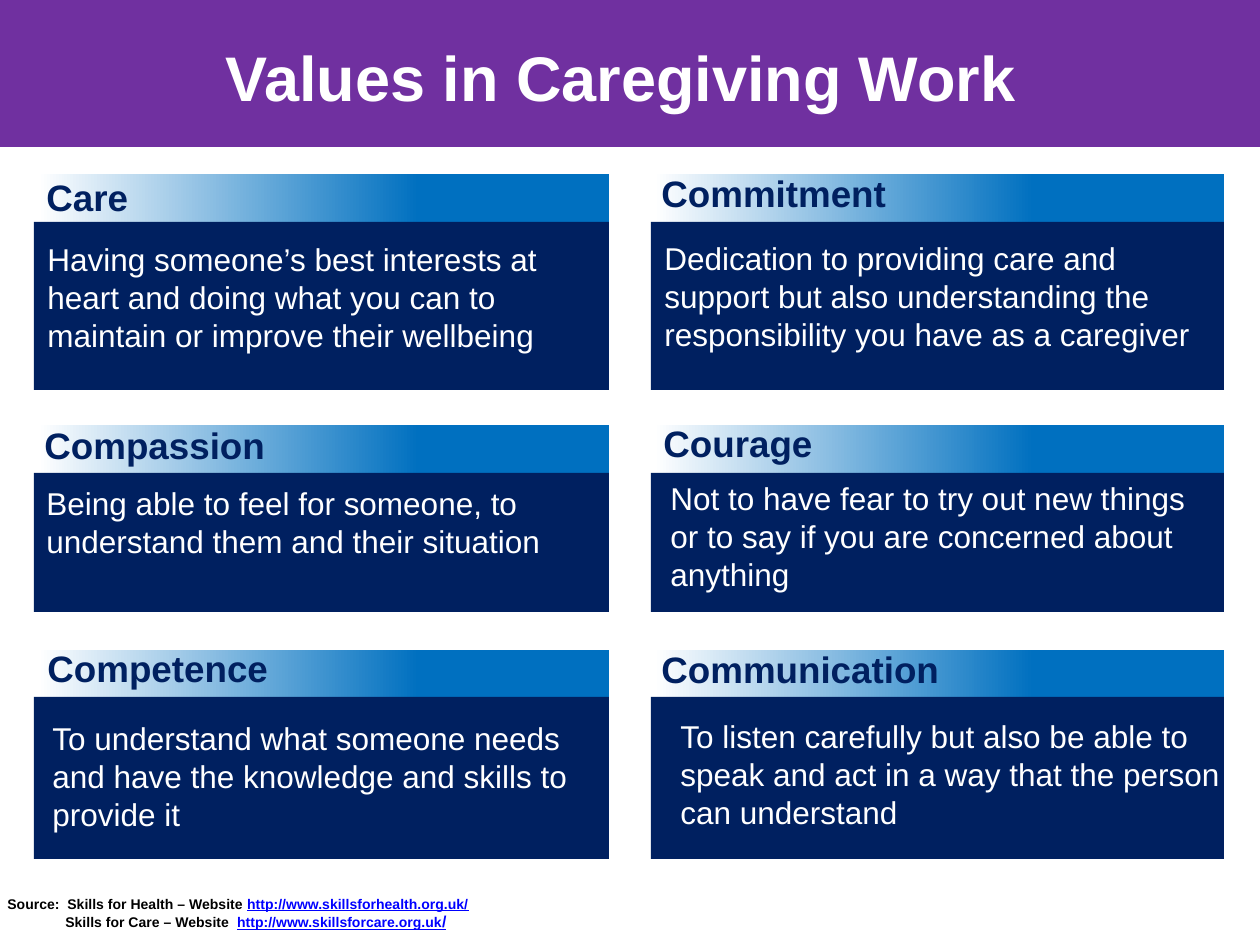
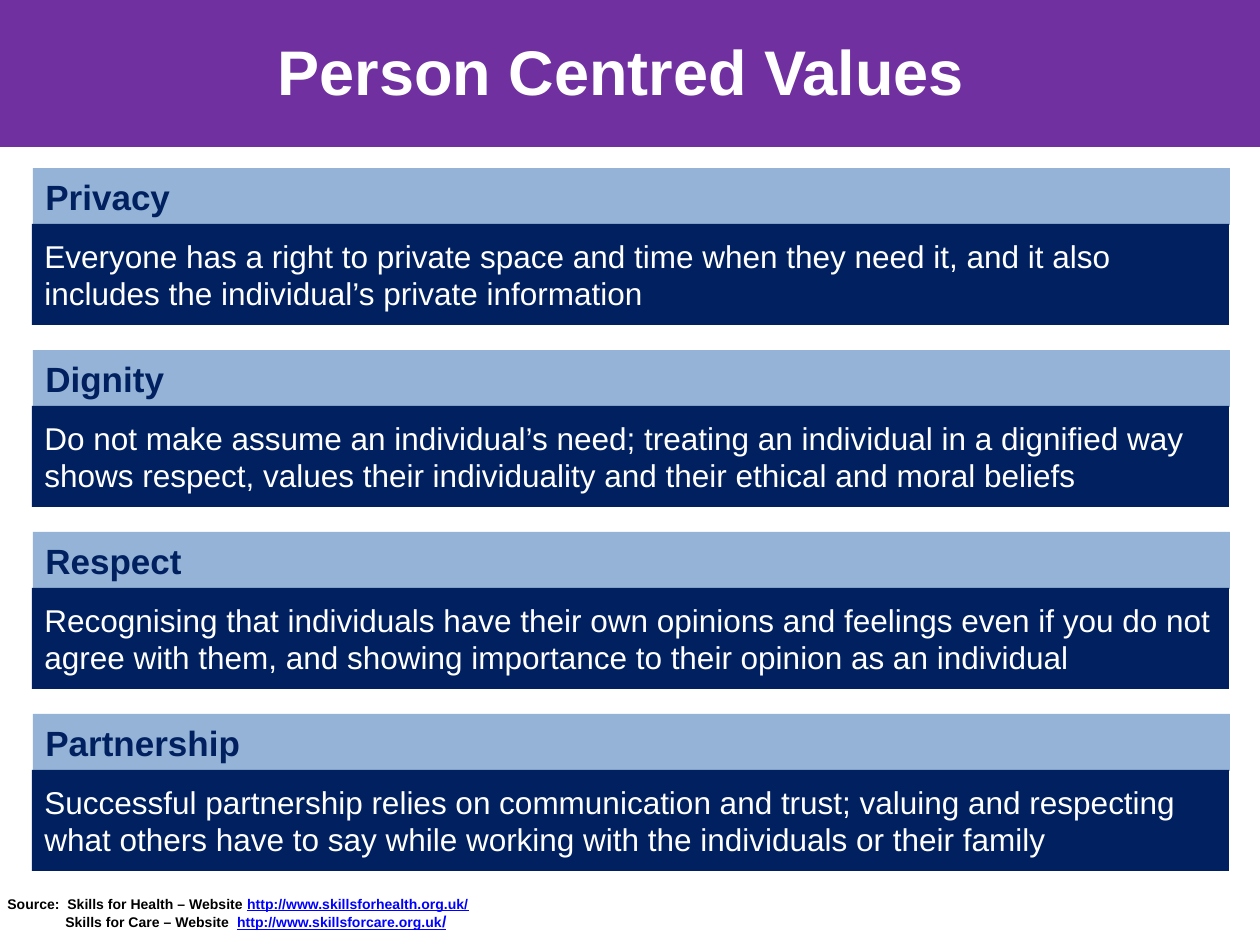
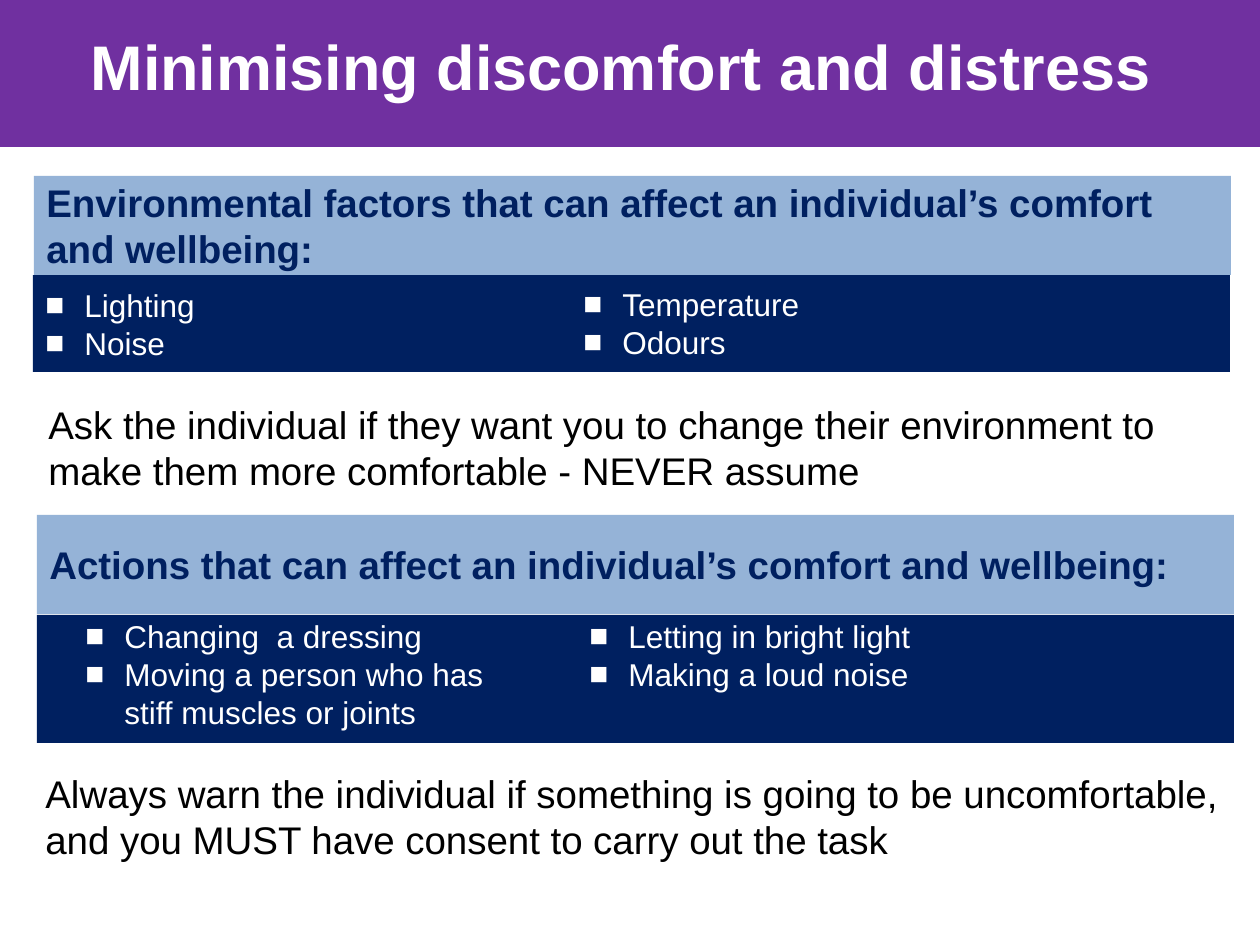
from lxml.etree import SubElement
from pptx import Presentation
from pptx.dml.color import RGBColor
from pptx.enum.shapes import MSO_SHAPE as SHAPE
from pptx.enum.text import MSO_ANCHOR as ANCHOR, PP_ALIGN as ALIGN
from pptx.oxml.ns import qn
from pptx.util import Pt

PX = 914400 / 126
PAGE_W, PAGE_H = 1260, 945
FONT = "Arial"
PURPLE, NAVY, BLUE, PALE = "7030A0", "002060", "0070C0", "95B3D7"
WHITE, BLACK, LINK = "FFFFFF", "000000", "0000FF"
BULLET_INDENT = 39

# label, label position, description, description position
VALUE_CARDS = [
    [("Care", (34, 169),
      "Having someone’s best interests at heart and doing what you can to "
      "maintain or improve their wellbeing", (35, 234)),
     ("Commitment", (649, 165),
      "Dedication to providing care and support but also understanding the "
      "responsibility you have as a caregiver", (652, 233))],
    [("Compassion", (32, 417),
      "Being able to feel for someone, to understand them and their situation",
      (34, 478)),
     ("Courage", (651, 415),
      "Not to have fear to try out new things or to say if you are concerned "
      "about anything", (658, 473))],
    [("Competence", (35, 640),
      "To understand what someone needs and have the knowledge and skills to "
      "provide it", (40, 713)),
     ("Communication", (649, 641),
      "To listen carefully but also be able to speak and act in a way that the "
      "person can understand", (668, 711))],
]
CARD_ROWS = [(174, 222, 168), (425, 473, 139), (650, 697, 162)]
CARD_COLUMNS = [(32, 34, 609), (648, 651, 1224)]

PERSON_VALUES = [
    ("Privacy", "Everyone has a right to private space and time when they need it, "
     "and it also includes the individual’s private information"),
    ("Dignity", "Do not make assume an individual’s need; treating an individual in a "
     "dignified way shows respect, values their individuality and their ethical and "
     "moral beliefs"),
    ("Respect", "Recognising that individuals have their own opinions and feelings "
     "even if you do not agree with them, and showing importance to their opinion as "
     "an individual"),
    ("Partnership", "Successful partnership relies on communication and trust; valuing "
     "and respecting what others have to say while working with the individuals or "
     "their family"),
]


def emu(*lengths):
    return [round(length * PX) for length in lengths]


def rgb(color):
    return RGBColor.from_string(color)


def indent(paragraph, left, first=0):
    props = paragraph._p.get_or_add_pPr()
    for key, length in zip(("marL", "indent"), emu(left, first)):
        props.set(key, str(length))
    return props


def add_bullet(paragraph, color):
    props = indent(paragraph, BULLET_INDENT, -BULLET_INDENT)
    bullet_color = SubElement(props, qn("a:buClr"))
    SubElement(bullet_color, qn("a:srgbClr")).set("val", color)
    SubElement(props, qn("a:buFont")).set("typeface", FONT)
    SubElement(props, qn("a:buChar")).set("char", "■")


def write_text(frame, *paragraphs, size=18, color=WHITE, bold=False,
               align=ALIGN.LEFT, anchor=ANCHOR.TOP, bullet=False):
    """Each paragraph is a string or a list of (text, colour, size) runs."""
    frame.word_wrap = True
    frame.vertical_anchor = anchor
    for number, content in enumerate(paragraphs):
        paragraph = frame.add_paragraph() if number else frame.paragraphs[0]
        paragraph.alignment = align
        if bullet:
            add_bullet(paragraph, color)
        runs = [(content, color, size)] if isinstance(content, str) else content
        for text, run_color, run_size in runs:
            run = paragraph.add_run()
            run.text = text
            font = run.font
            font.name, font.size, font.bold = FONT, Pt(run_size), bold
            font.color.rgb = rgb(run_color)
            if run_color == LINK:
                font.underline = True


def add_text(slide, box, *paragraphs, **style):
    frame = slide.shapes.add_textbox(*emu(*box)).text_frame
    write_text(frame, *paragraphs, **style)
    return frame


def add_bar(slide, box, fill, *paragraphs, fade=False, **style):
    """Rectangle, plain or fading in from white, with optional text."""
    bar = slide.shapes.add_shape(SHAPE.RECTANGLE, *emu(*box))
    bar.shadow.inherit = False
    bar.line.fill.background()
    if fade:
        bar.fill.gradient()
        bar.fill.gradient_angle = 0
        for stop, position, color in zip(bar.fill.gradient_stops, (0.01, 0.67),
                                         (WHITE, fill)):
            stop.position = position
            stop.color.rgb = rgb(color)
    else:
        bar.fill.solid()
        bar.fill.fore_color.rgb = rgb(fill)
    if paragraphs:
        write_text(bar.text_frame, *paragraphs, anchor=ANCHOR.MIDDLE, **style)
    return bar


def add_titled_slide(deck, title, title_middle):
    slide = deck.slides.add_slide(deck.slide_layouts[6])
    band = add_bar(slide, (0, 0, PAGE_W, 145), PURPLE)
    band.line.color.rgb = rgb(PURPLE)
    band.line.width = Pt(2)
    add_text(slide, (-9, title_middle - 60, PAGE_W, 120), title, size=36, bold=True,
             align=ALIGN.CENTER, anchor=ANCHOR.MIDDLE)
    return slide


def add_sources(slide):
    frame = add_text(
        slide, (-5, 889, 542, 49),
        [("Source:  Skills for Health – Website ", BLACK, 8),
         ("http://www.skillsforhealth.org.uk/", LINK, 8)],
        [("Skills for Care – Website  ", BLACK, 8),
         ("http://www.skillsforcare.org.uk", LINK, 8), ("/", LINK, 9)],
        bold=True)
    indent(frame.paragraphs[1], 58)


def add_heading(slide, box, text, size):
    add_bar(slide, box, PALE, text, size=size, color=NAVY, bold=True)


def add_value_cards(slide):
    for (top, body_top, body_height), cards in zip(CARD_ROWS, VALUE_CARDS):
        for (left, body_left, right), card in zip(CARD_COLUMNS, cards):
            label, label_at, description, description_at = card
            add_bar(slide, (left, top, right - left, 48), BLUE, fade=True)
            add_bar(slide, (body_left, body_top, right - body_left, body_height), NAVY)
            add_text(slide, (*label_at, 400, 57), label, size=21, color=NAVY, bold=True)
            add_text(slide, (*description_at, 568, 127), description)


def add_person_values(slide):
    for row, (value, meaning) in enumerate(PERSON_VALUES):
        top = 168 + 182 * row
        add_heading(slide, (33, top, 1197, 57), value, 20)
        add_bar(slide, (32, top + 56, 1197, 101), NAVY, meaning)


def add_comfort_factors(slide):
    add_heading(slide, (34, 176, 1197, 99), "Environmental factors that can affect an "
                "individual’s comfort and wellbeing:", 22)
    add_bar(slide, (33, 275, 1197, 97), NAVY, "Lighting", "Noise", bullet=True)
    add_text(slide, (571, 279, 388, 89), "Temperature", "Odours", bullet=True)
    add_text(slide, (36, 395, 1194, 106), "Ask the individual if they want you to change "
             "their environment to make them more comfortable - NEVER assume",
             size=22, color=BLACK)


def add_comfort_actions(slide):
    add_heading(slide, (37, 515, 1197, 99),
                "Actions that can affect an individual’s comfort and wellbeing:", 22)
    add_bar(slide, (37, 615, 1197, 128), NAVY)
    add_text(slide, (73, 611, 427, 127), "Changing  a dressing",
             "Moving a person who has stiff muscles or joints", bullet=True)
    add_text(slide, (577, 611, 388, 89), "Letting in bright light",
             "Making a loud noise", bullet=True)
    add_text(slide, (33, 764, 1227, 106), "Always warn the individual if something is "
             "going to be uncomfortable, and you MUST have consent to carry out the task",
             size=22, color=BLACK)


def main():
    deck = Presentation()
    deck.slide_width, deck.slide_height = emu(PAGE_W, PAGE_H)

    work_values = add_titled_slide(deck, "Values in Caregiving Work", 76)
    add_value_cards(work_values)
    add_sources(work_values)

    person_values = add_titled_slide(deck, "Person Centred Values", 70)
    add_person_values(person_values)
    add_sources(person_values)

    comfort = add_titled_slide(deck, "Minimising discomfort and distress", 65)
    add_comfort_factors(comfort)
    add_comfort_actions(comfort)

    deck.save("out.pptx")


if __name__ == "__main__":
    main()
